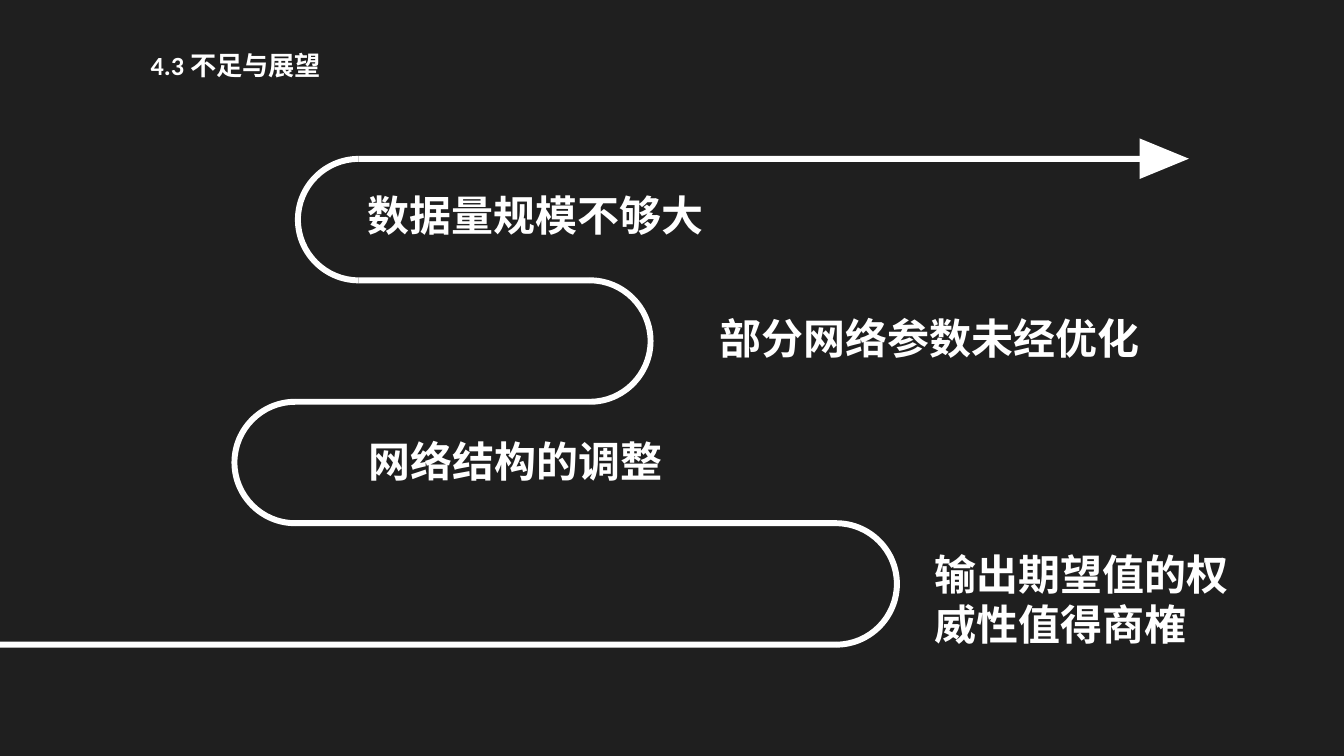
from lxml import etree
from pptx import Presentation
from pptx import util as u
from pptx.dml.color import RGBColor
from pptx.enum import shapes, text
from pptx.oxml import ns

COLORS = {"background": "1F1F1F", "foreground": "FFFFFF"}
WHITE = RGBColor.from_string(COLORS["foreground"])


def paint(sp):
    sp.shadow.inherit = False
    sp.fill.solid()
    sp.fill.fore_color.rgb = WHITE
    sp.line.fill.background()


def write(sp, words, frame, font):
    tf = sp.text_frame
    for name, value in frame.items():
        setattr(tf, name, value)
    p = tf.paragraphs[0]
    p.alignment = text.PP_ALIGN.LEFT
    r = p.add_run()
    r.text = words
    for name, value in font.items():
        setattr(r.font, name, value)
    r.font.color.rgb = WHITE
    return p


prs = Presentation()
prs.slide_width, prs.slide_height = u.Cm(33.88), u.Cm(19.05)
s = prs.slides.add_slide(prs.slide_layouts[5])
s.background.fill.solid()
s.background.fill.fore_color.rgb = RGBColor.from_string(COLORS["background"])

# Title
title = s.shapes.title
title.left, title.top, title.width, title.height = (
    u.Cm(v) for v in (3.47, 1.02, 8, 1.17))
frame = {"word_wrap": True, "auto_size": text.MSO_AUTO_SIZE.SHAPE_TO_FIT_TEXT}
title_frame = frame | {
    "vertical_anchor": text.MSO_ANCHOR.MIDDLE,
    "margin_left": u.Cm(0.33), "margin_right": u.Cm(0.33),
    "margin_top": u.Cm(0.17), "margin_bottom": u.Cm(0.17)}
p = write(title, "4.3 不足与展望", title_frame,
          {"name": "Calibri", "size": u.Pt(18.7), "bold": True})
p.line_spacing = 1.1

# Winding road: straights one step apart
TOP, STEP, BAND = 3.93, 3.06, 0.15
turns = [9.04, 14.87, 7.44, 21.08]
ends = [28.88, *turns, 0]
for i, (a, b) in enumerate(zip(ends, ends[1:])):
    sp = s.shapes.add_shape(
        shapes.MSO_SHAPE.RECTANGLE, u.Cm(min(a, b)), u.Cm(TOP + i * STEP),
        u.Cm(abs(a - b)), u.Cm(BAND))
    paint(sp)

# Half-ring turns: anchors and handles of two quarter curves, out and back
HANDLE = 0.55
half = [(0, -1), (HANDLE, -1), (1, -HANDLE), (1, 0),
        (1, HANDLE), (HANDLE, 1), (0, 1)]
outer = (STEP + BAND) / 2
rim = [(outer * dx, outer * dy) for dx, dy in half]
rim += [((outer - BAND) * dx, (outer - BAND) * dy) for dx, dy in reversed(half)]
for i, x in enumerate(turns):
    side = 1 if i % 2 else -1
    y = TOP + i * STEP + outer
    points = [(u.Cm(x + side * dx), u.Cm(y + dy)) for dx, dy in rim]
    fb = s.shapes.build_freeform(*points[0])
    fb.add_line_segments(points[1:], close=True)
    sp = fb.convert_to_shape()
    paint(sp)
    # Join each three segments of a quarter into one curve
    lines = list(sp._element.iter(ns.qn("a:lnTo")))
    for first in (0, 3, 7, 10):
        curve = etree.Element(ns.qn("a:cubicBezTo"))
        lines[first].addprevious(curve)
        for line in lines[first:first + 3]:
            curve.append(line[0])
            line.getparent().remove(line)

# Arrowhead
head = s.shapes.add_shape(shapes.MSO_SHAPE.ISOSCELES_TRIANGLE, u.Cm(28.84),
                          u.Cm(3.38), u.Cm(1.02), u.Cm(1.24))
head.rotation = 90
paint(head)

# Labels
labels = [
    ("数据量规模不够大", 9.02, 4.65, 9.47, 1.54),
    ("部分网络参数未经优化", 17.89, 7.75, 11.25, 1.54),
    ("网络结构的调整", 9.04, 10.85, 9.02, 1.54),
    ("输出期望值的权威性值得商榷", 23.3, 13.7, 8.81, 2.82),
]
label_font = {"name": "League Spartan", "size": u.Pt(30), "bold": True}
for words, *box in labels:
    write(s.shapes.add_textbox(*(u.Cm(v) for v in box)), words, frame, label_font)

prs.save("out.pptx")
